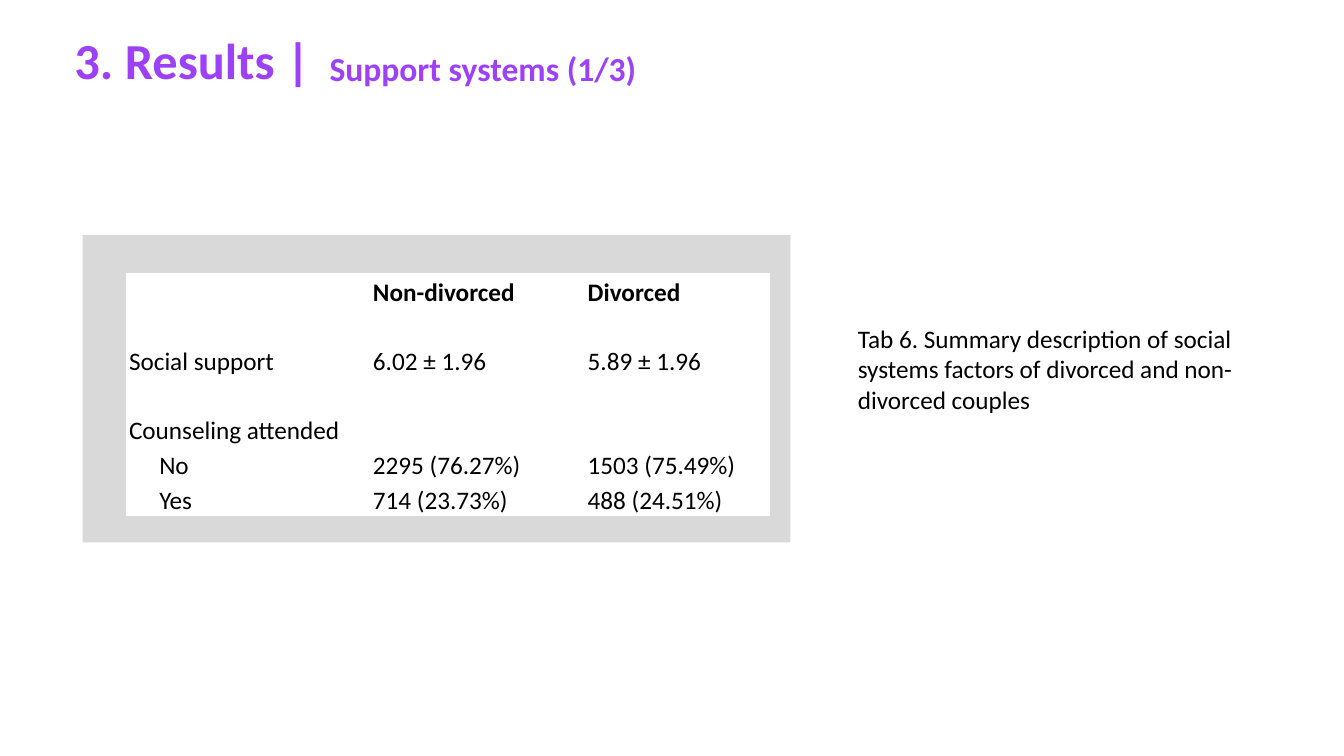
from pptx import Presentation
from pptx.dml.color import RGBColor
from pptx.enum.shapes import MSO_SHAPE
from pptx.enum.text import MSO_AUTO_SIZE
from pptx.util import Pt

SCALE = 9144
RECT = MSO_SHAPE.RECTANGLE
GROW = MSO_AUTO_SIZE.SHAPE_TO_FIT_TEXT
FIXED = MSO_AUTO_SIZE.NONE
PURPLE = RGBColor(0x9D, 0x41, 0xF9)
GREY = RGBColor(0xD9, 0xD9, 0xD9)
BLACK = RGBColor(0, 0, 0)
WHITE = RGBColor(255, 255, 255)

ROWS = [
    ("", "Non-divorced", "Divorced"),
    ("", "", ""),
    ("Social support", "6.02 ± 1.96", "5.89 ± 1.96"),
    ("", "", ""),
    ("Counseling attended", "", ""),
    ("No", "2295 (76.27%)", "1503 (75.49%)"),
    ("Yes", "714 (23.73%)", "488 (24.51%)"),
]
NESTED = ("No", "Yes")
CAPTION = ("Tab 6. Summary description of social systems factors "
           "of divorced and non-divorced couples")


def px(*vals):
    """Turn px lengths into EMU."""
    return [val * SCALE for val in vals]


def write(frame, text, size=18, color=BLACK, bold=False, line=1.0, after=0):
    """Write one formatted paragraph into a text frame."""
    para = frame.paragraphs[0]
    para.line_spacing = line
    para.space_after = Pt(after)
    font = para.font
    if text:
        run = para.add_run()
        run.text = text
        font = run.font
    font.name = "Calibri"
    font.size = Pt(size)
    font.bold = bold
    font.color.rgb = color


class Page:
    """Hold the deck and its current slide."""

    def __init__(self, wide, high):
        """Start a deck with one blank slide."""
        self.deck = Presentation()
        self.deck.slide_width, self.deck.slide_height = px(wide, high)
        self.slide = self.deck.slides.add_slide(self.deck.slide_layouts[6])

    def panel(self, box, fill):
        """Draw a plain filled rectangle."""
        shape = self.slide.shapes.add_shape(RECT, *px(*box))
        shape.shadow.inherit = False
        shape.fill.solid()
        shape.fill.fore_color.rgb = fill
        shape.line.fill.background()

    def label(self, box, text, fit=GROW, right=10, **style):
        """Place a wrapped text box."""
        frame = self.slide.shapes.add_textbox(*px(*box)).text_frame
        frame.word_wrap = True
        frame.auto_size = fit
        frame.margin_right, = px(right)
        write(frame, text, **style)

    def table(self, box, widths, rows):
        """Place a white table with a bold first row."""
        grid = self.slide.shapes.add_table(len(rows), len(widths), *px(*box)).table
        grid.first_row = grid.horz_banding = False
        for col, width in zip(grid.columns, px(*widths)):
            col.width = width
        for row, (line, texts) in enumerate(zip(grid.rows, rows)):
            line.height, = px(34)
            for cell, text in zip(line.cells, texts):
                cell.fill.solid()
                cell.fill.fore_color.rgb = WHITE
                left = 32 if text in NESTED else 2
                cell.margin_left, cell.margin_right = px(left, 2)
                cell.margin_top = cell.margin_bottom = 0
                write(cell.text_frame, text, bold=row == 0, line=1.15, after=10)


def main():
    """Build the results slide."""
    page = Page(1333, 750)
    page.panel((82, 233, 702, 305), GREY)
    page.label((64, 31, 506, 65), "3. Results |", fit=FIXED,
               size=36, color=PURPLE, bold=True, line=0.9)
    page.label((317, 37, 353, 54), "Support systems (1/3)",
               size=24, color=PURPLE, bold=True, line=1.15, after=10)
    page.table((126, 271, 637, 238), (242, 213, 182), ROWS)
    page.label((841, 316, 473, 71), CAPTION, right=50)
    page.deck.save("out.pptx")


if __name__ == "__main__":
    main()
